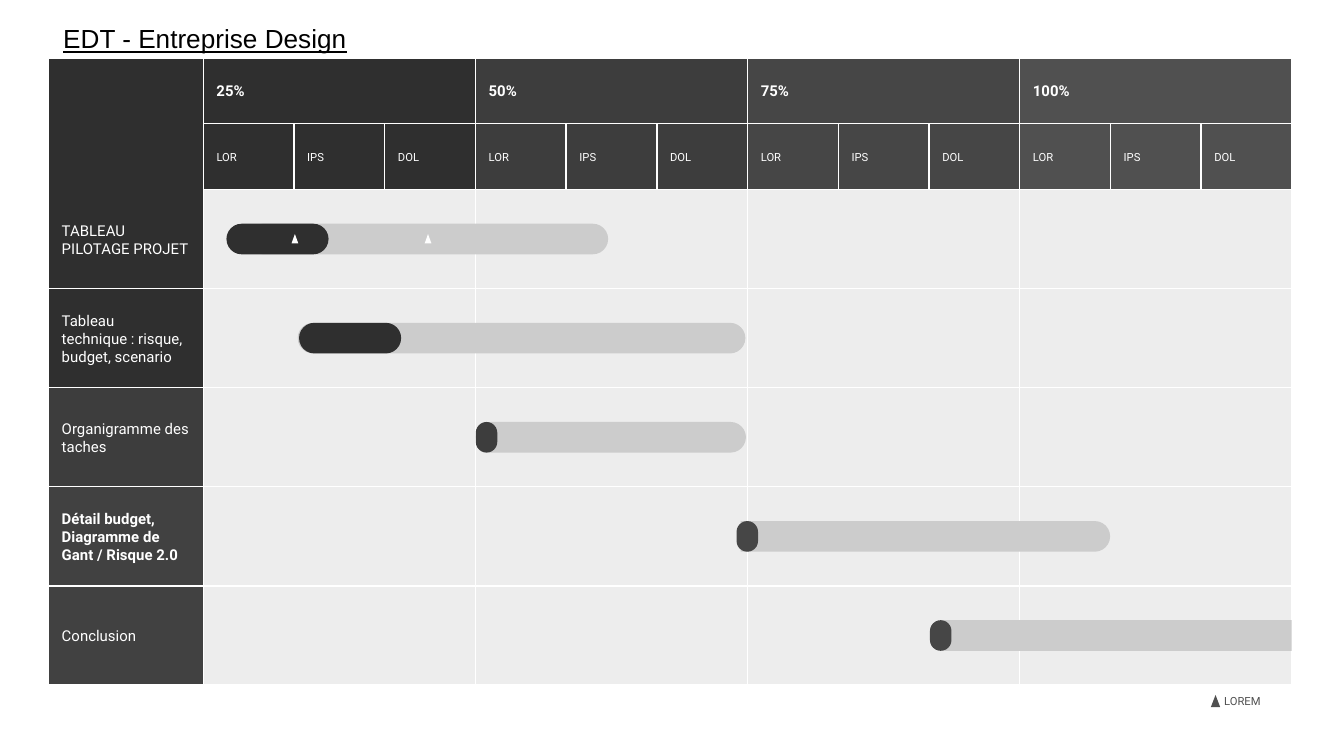
from dataclasses import dataclass

import pptx
import pptx.dml.color
import pptx.enum.shapes
import pptx.enum.text
import pptx.util

Pt = pptx.util.Pt
Shape = pptx.enum.shapes.MSO_SHAPE
Anchor = pptx.enum.text.MSO_ANCHOR


@dataclass(frozen=True)
class Theme:
    white: str = "FFFFFF"
    black: str = "000000"
    cell: str = "EDEDED"
    planned: str = "CCCCCC"
    legend: str = "505050"
    quarters: tuple = ("2F2F2F", "3D3D3D", "464646", "505050")
    tasks: tuple = ("2F2F2F", "2F2F2F", "3D3D3D", "414141", "414141")
    body_font: str = "Roboto"
    title_font: str = "Arial"
    title_size: float = 14
    label_size: float = 8
    small_size: float = 6


THEME = Theme()

LEFT, TOP = 26, 31
LABEL_WIDTH = 82.9
GRID_LEFT = LEFT + LABEL_WIDTH
QUARTER_WIDTH = 145.8
MONTH_WIDTH = QUARTER_WIDTH / 3
HEADER_HEIGHT = 35.25
GRID_TOP = TOP + 2 * HEADER_HEIGHT
ROW_HEIGHT = 53.1
BAR_HEIGHT = 16.4
INSET = 7.2
ROUND, SQUARE = 0.5, 0

QUARTERS = ("25%", "50%", "75%", "100%")
MONTHS = ("LOR", "IPS", "DOL")
TASKS = (
    "TABLEAU PILOTAGE PROJET",
    "Tableau technique : risque, budget, scenario",
    "Organigramme des taches",
    "Détail budget, Diagramme de Gant / Risque 2.0",
    "Conclusion",
)
BOLD_TASK = 3

# row, start, length, colour, right end, left end
BARS = (
    (0, 132.8, 193, THEME.planned, ROUND, ROUND),
    (0, 121.3, 54.7, THEME.quarters[0], ROUND, ROUND),
    (1, 159.5, 239.8, THEME.planned, ROUND, ROUND),
    (1, 160.2, 54.7, THEME.quarters[0], ROUND, ROUND),
    (2, 254.9, 144.7, THEME.planned, ROUND, ROUND),
    (2, 254.9, 11.5, THEME.quarters[1], ROUND, ROUND),
    (3, 396.7, 198, THEME.planned, ROUND, SQUARE),
    (3, 394.6, 11.5, THEME.quarters[2], ROUND, ROUND),
    (4, 498.2, 193.7, THEME.planned, SQUARE, ROUND),
    (4, 498.2, 11.5, THEME.quarters[2], ROUND, ROUND),
)
MILESTONES = (156.2, 227.5)


def color(value):
    return pptx.dml.color.RGBColor.from_string(value)


def write_text(box, text, *, size=THEME.label_size, font=THEME.body_font,
               ink=THEME.white, bold=False, underline=False,
               anchor=Anchor.MIDDLE, bottom=INSET):
    frame = box.text_frame
    frame.word_wrap = True
    frame.vertical_anchor = anchor
    frame.margin_left = frame.margin_right = frame.margin_top = Pt(INSET)
    frame.margin_bottom = Pt(bottom)
    para = frame.paragraphs[0]
    para.alignment = pptx.enum.text.PP_ALIGN.LEFT
    span = para.add_run()
    span.text = text
    span.font.name = font
    span.font.size = Pt(size)
    span.font.bold = bold
    span.font.underline = underline
    span.font.color.rgb = color(ink)


class Gantt:
    def __init__(self, page, theme):
        self.page = page
        self.theme = theme

    def shape(self, kind, left, top, width, height, fill):
        shape = self.page.shapes.add_shape(
            kind, Pt(left), Pt(top), Pt(width), Pt(height))
        shape.shadow.inherit = False
        shape.fill.solid()
        shape.fill.fore_color.rgb = color(fill)
        shape.line.fill.background()
        return shape

    def panel(self, left, top, width, height, fill, text="", **style):
        """Draw a white-edged rectangle, with text if there is any."""
        box = self.shape(Shape.RECTANGLE, left, top, width, height, fill)
        box.line.color.rgb = color(self.theme.white)
        box.line.width = Pt(0.75)
        if text:
            write_text(box, text, **style)

    def bar(self, row, start, length, fill, right_end, left_end):
        """Draw a task bar as an upright shape turned a quarter clockwise."""
        middle = GRID_TOP + (row + 0.5) * ROW_HEIGHT
        bar = self.shape(Shape.ROUND_2_SAME_RECTANGLE,
                         start + (length - BAR_HEIGHT) / 2, middle - length / 2,
                         BAR_HEIGHT, length, fill)
        bar.rotation = 90
        bar.adjustments[0] = right_end
        bar.adjustments[1] = left_end

    def marker(self, left, top, width, height, fill):
        self.shape(Shape.ISOSCELES_TRIANGLE, left, top, width, height, fill)

    def text(self, left, top, width, height, text, **style):
        box = self.page.shapes.add_textbox(
            Pt(left), Pt(top), Pt(width), Pt(height))
        write_text(box, text, **style)


def main():
    deck = pptx.Presentation()
    deck.slide_width, deck.slide_height = Pt(720), Pt(405)
    gantt = Gantt(deck.slides.add_slide(deck.slide_layouts[6]), THEME)

    for column, (quarter, fill) in enumerate(zip(QUARTERS, THEME.quarters)):
        left = GRID_LEFT + column * QUARTER_WIDTH
        for row in range(len(TASKS)):
            gantt.panel(left, GRID_TOP + row * ROW_HEIGHT,
                        QUARTER_WIDTH, ROW_HEIGHT, THEME.cell)
        gantt.panel(left, TOP, QUARTER_WIDTH, HEADER_HEIGHT, fill,
                    quarter, bold=True)
        for index, month in enumerate(MONTHS):
            gantt.panel(left + index * MONTH_WIDTH, TOP + HEADER_HEIGHT,
                        MONTH_WIDTH, HEADER_HEIGHT, fill,
                        month, size=THEME.small_size)

    for row, (task, fill) in enumerate(zip(TASKS, THEME.tasks)):
        top, height, style = GRID_TOP + row * ROW_HEIGHT, ROW_HEIGHT, {}
        if row == 0:  # the first label also fills the header corner
            top, height = TOP, GRID_TOP - TOP + ROW_HEIGHT
            style = {"anchor": Anchor.BOTTOM, "bottom": 16.5}
        gantt.panel(LEFT, top, LABEL_WIDTH, height, fill, task,
                    bold=row == BOLD_TASK, **style)

    for bar in BARS:
        gantt.bar(*bar)
    for left in MILESTONES:
        gantt.marker(left, 125.4, 3.6, 5, THEME.white)

    gantt.text(648.7, 370.3, 42.5, 10.8, "LOREM",
               size=THEME.small_size, ink=THEME.legend)
    gantt.marker(648.7, 372.3, 5, 6.5, THEME.legend)
    gantt.text(26.8, 5, 204.5, 31.7, "EDT - Entreprise Design",
               size=THEME.title_size, font=THEME.title_font,
               ink=THEME.black, underline=True, anchor=Anchor.TOP)

    deck.save("out.pptx")


if __name__ == "__main__":
    main()
